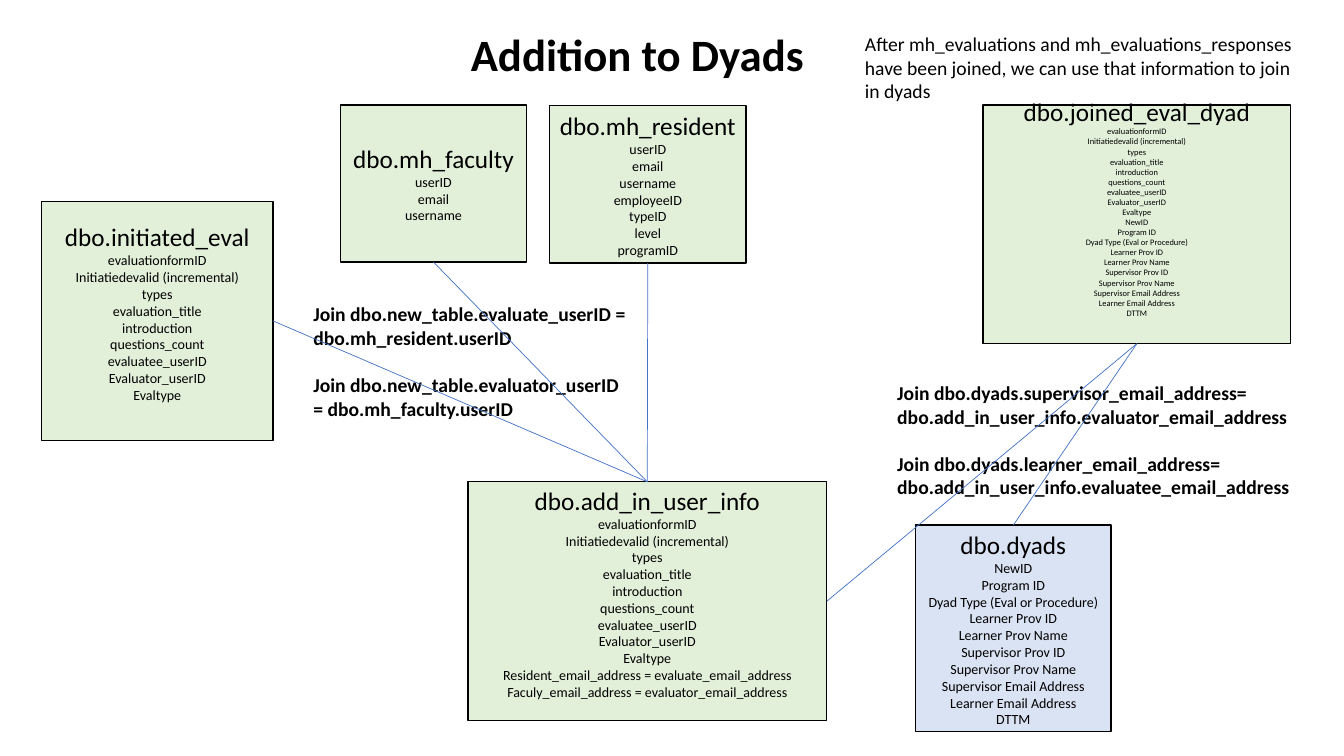
"""Build the 'Addition to Dyads' table join diagram slide."""
from pptx import Presentation
from pptx.dml.color import RGBColor
from pptx.enum.shapes import MSO_CONNECTOR, MSO_SHAPE
from pptx.enum.text import MSO_ANCHOR, PP_ALIGN
from pptx.oxml.ns import qn
from pptx.util import Inches, Pt
from lxml.etree import SubElement


def rgb(value):
    return RGBColor.from_string(value)


def style(p, size, bold=False):
    p.font.name = "Calibri"
    p.font.size = Pt(size)
    p.font.bold = bold
    p.font.color.rgb = rgb("000000")


GREEN, BLUE = "E2F0D9", "DAE3F3"
TOP, LEFT, BOTTOM, RIGHT = range(4)

eval_fields = ["evaluationformID", "Initiatiedevalid (incremental)", "types",
               "evaluation_title", "introduction", "questions_count",
               "evaluatee_userID", "Evaluator_userID", "Evaltype"]
dyad_fields = ["NewID", "Program ID", "Dyad Type (Eval or Procedure)",
               "Learner Prov ID", "Learner Prov Name", "Supervisor Prov ID",
               "Supervisor Prov Name", "Supervisor Email Address",
               "Learner Email Address", "DTTM"]
user_fields = ["userID", "email", "username"]
email_fields = ["Resident_email_address = evaluate_email_address",
                "Faculy_email_address = evaluator_email_address"]

tables = [
    ("initiated_eval", (0.41, 2, 2.3, 2.37), GREEN, 10, 0.22, eval_fields),
    ("mh_faculty", (3.38, 1.04, 1.84, 1.56), GREEN, 10, 0.05, user_fields),
    ("mh_resident", (5.45, 1.05, 1.95, 1.56), GREEN, 10, 0.05,
     user_fields + ["employeeID", "typeID", "level", "programID"]),
    ("dyads", (9.08, 5.21, 1.94, 2.05), BLUE, 10, 0.05, dyad_fields),
    ("joined_eval_dyad", (9.75, 1.04, 3.05, 2.37), GREEN, 6, 0.39,
     eval_fields + dyad_fields),
    ("add_in_user_info", (4.64, 4.78, 3.56, 2.37), GREEN, 10, 0.22,
     eval_fields + email_fields),
]
notes = [
    ((8.48, 0.27, 4.52, 0.81), False,
     ["After mh_evaluations and mh_evaluations_responses have been joined, "
      "we can use that information to join in dyads"]),
    ((8.8, 3.73, 4.12, 1.28), True,
     ["Join dbo.dyads.supervisor_email_address= "
      "dbo.add_in_user_info.evaluator_email_address",
      "Join dbo.dyads.learner_email_address= "
      "dbo.add_in_user_info.evaluatee_email_address"]),
    ((3.01, 2.95, 3.34, 1.28), True,
     ["Join dbo.new_table.evaluate_userID = dbo.mh_resident.userID",
      "Join dbo.new_table.evaluator_userID = dbo.mh_faculty.userID"]),
]
joins = [
    ("initiated_eval", RIGHT, "add_in_user_info", TOP),
    ("mh_faculty", BOTTOM, "add_in_user_info", TOP),
    ("mh_resident", BOTTOM, "add_in_user_info", TOP),
    ("add_in_user_info", RIGHT, "joined_eval_dyad", BOTTOM),
    ("dyads", TOP, "joined_eval_dyad", BOTTOM),
]

prs = Presentation()
prs.slide_width, prs.slide_height = Inches(13.33), Inches(7.5)
s = prs.slides.add_slide(prs.slide_layouts[5])

title = s.shapes.title
title.left, title.top = Inches(4.57), Inches(0.33)
title.width, title.height = Inches(4.91), Inches(0.48)
tf = title.text_frame
tf.text = "Addition to Dyads"
tf.vertical_anchor = MSO_ANCHOR.MIDDLE
p = tf.paragraphs[0]
p.alignment = PP_ALIGN.LEFT
p.line_spacing = 0.9
style(p, 32, True)

boxes = {}
for name, place, fill, size, inset, fields in tables:
    sp = s.shapes.add_shape(MSO_SHAPE.RECTANGLE, *map(Inches, place))
    sp.shadow.inherit = False
    sp.fill.solid()
    sp.fill.fore_color.rgb = rgb(fill)
    sp.line.color.rgb = rgb("000000")
    sp.line.width = Pt(1)
    tf = sp.text_frame
    tf.word_wrap = True
    tf.vertical_anchor = MSO_ANCHOR.MIDDLE
    tf.margin_bottom = Inches(inset)
    tf.text = "\n".join(["dbo." + name] + fields)
    for i, p in enumerate(tf.paragraphs):
        p.alignment = PP_ALIGN.CENTER
        style(p, size if i else 18)
    boxes[name] = sp

for place, bold, lines in notes:
    tf = s.shapes.add_textbox(*map(Inches, place)).text_frame
    tf.word_wrap = True
    tf.text = "\n".join(lines)
    for i, p in enumerate(tf.paragraphs):
        p.space_before = Pt(17 if i else 0)
        style(p, 14, bold)

for start, start_side, end, end_side in joins:
    line = s.shapes.add_connector(MSO_CONNECTOR.STRAIGHT, 0, 0, 0, 0)
    line.begin_connect(boxes[start], start_side)
    line.end_connect(boxes[end], end_side)
    line.line.color.rgb = rgb("4472C4")
    line.line.width = Pt(0.5)
    SubElement(line._element.spPr, qn("a:effectLst"))

prs.save("out.pptx")
